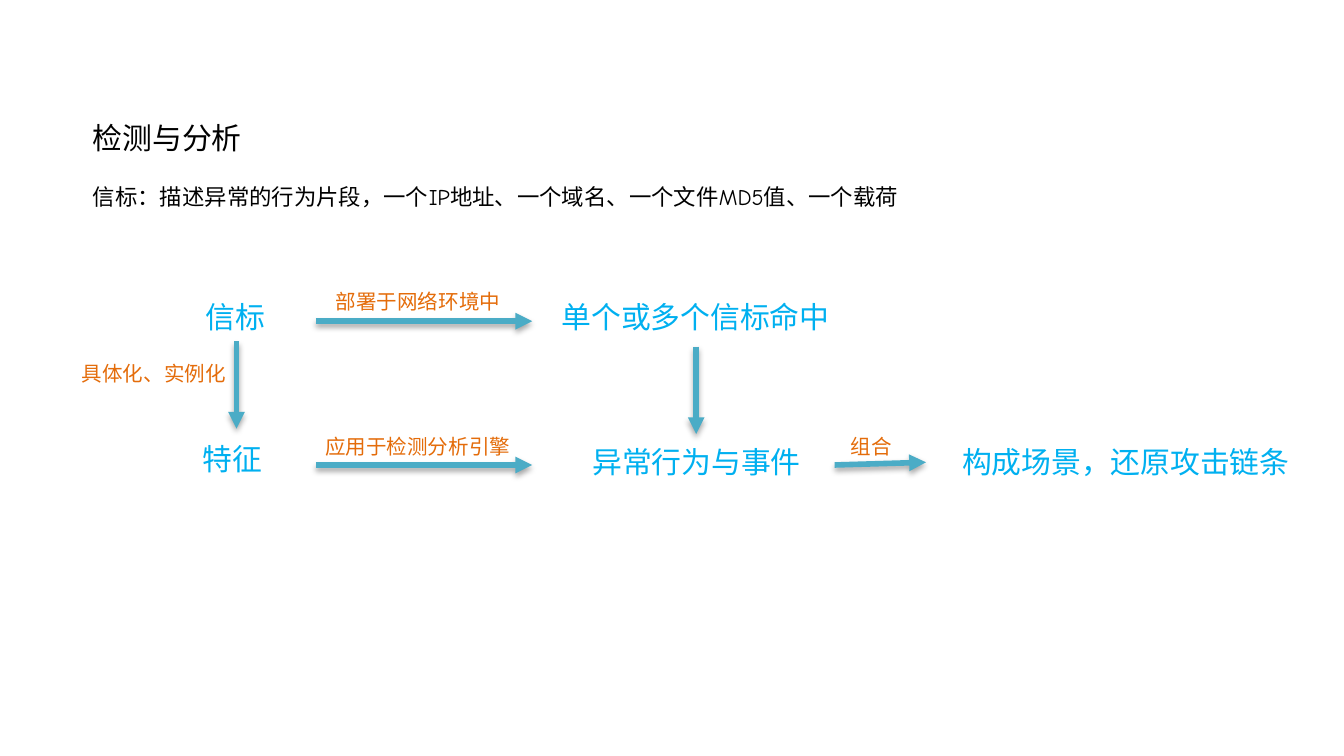
from lxml import etree
from pptx import Presentation
from pptx.dml.color import RGBColor
from pptx.enum.shapes import MSO_CONNECTOR as CONN
from pptx.enum.text import MSO_ANCHOR as ANCHOR, PP_ALIGN as ALIGN
from pptx.oxml.ns import qn
from pptx.util import Inches, Pt

COLORS = {"text": "000000", "node": "00B0F0", "label": "E46C0A", "arrow": "4BACC6"}
CJK = "Noto Sans CJK SC"
HEADING = "Comic Neue"


def add_run(p, text, size, color, font=CJK):
    """Add a formatted run with Latin and East Asian fonts."""
    r = p.add_run()
    r.text = text
    r.font.size = Pt(size)
    r.font.bold = False
    r.font.color.rgb = RGBColor.from_string(COLORS[color])
    r.font.name = font
    etree.SubElement(r.font._element, qn("a:ea"), typeface=CJK)


def fill_placeholder(sp, box, text, size):
    """Move a placeholder to its box and set one plain left-aligned line."""
    sp.left, sp.top, sp.width, sp.height = map(Inches, box)
    tf = sp.text_frame
    tf.word_wrap = True
    tf.vertical_anchor = ANCHOR.MIDDLE
    p = tf.paragraphs[0]
    p.alignment = ALIGN.LEFT
    p.space_before = Pt(0)
    pPr = p._p.get_or_add_pPr()
    pPr.set("marL", "0")
    pPr.set("indent", "0")
    etree.SubElement(pPr, qn("a:buNone"))
    add_run(p, text, size, "text", HEADING)


def add_heading(slide, left, top, width):
    """Place the title with the definition line under it."""
    title, body = slide.placeholders
    fill_placeholder(title, (left, top, width, 0.37), "检测与分析", 16)
    fill_placeholder(body, (left, top + 0.47, width, 0.3),
                     "信标：描述异常的行为片段，一个IP地址、一个域名、一个文件MD5值、一个载荷", 12)


def add_text(slide, box, text, size, color):
    """Add a single-line text box."""
    sp = slide.shapes.add_textbox(*map(Inches, box))
    sp.text_frame.word_wrap = False
    add_run(sp.text_frame.paragraphs[0], text, size, color)


def add_arrow(slide, x1, y1, x2, y2):
    """Add a thick arrow with a soft shadow below it."""
    cx = slide.shapes.add_connector(CONN.STRAIGHT, *map(Inches, (x1, y1, x2, y2)))
    cx.line.color.rgb = RGBColor.from_string(COLORS["arrow"])
    cx.line.width = Pt(3)
    etree.SubElement(cx.line._get_or_add_ln(), qn("a:tailEnd"), type="triangle")
    effects = etree.SubElement(cx._element.spPr, qn("a:effectLst"))
    shadow = etree.SubElement(effects, qn("a:outerShdw"), blurRad=str(Pt(3.1)),
                              dist=str(Pt(1.8)), dir="5400000", rotWithShape="0")
    black = etree.SubElement(shadow, qn("a:srgbClr"), val="000000")
    etree.SubElement(black, qn("a:alpha"), val="35000")


def add_flow(slide, left, top):
    """Place the detection flow: nodes, arrows and arrow labels."""
    arrows = [
        (1.25, 0.44, 1.25, 1.09),
        (4.67, 0.48, 4.67, 1.13),
        (1.84, 0.29, 3.45, 0.29),
        (1.84, 1.36, 3.45, 1.36),
        (5.7, 1.36, 6.38, 1.34),
    ]
    nodes = [
        ("信标", 0.92, 0.07, 0.65),
        ("单个或多个信标命中", 3.57, 0.07, 2.22),
        ("特征", 0.9, 1.13, 0.65),
        ("异常行为与事件", 3.8, 1.15, 1.77),
        ("构成场景，还原攻击链条", 6.55, 1.15, 2.67),
    ]
    labels = [
        ("具体化、实例化", 0, 0.54, 1.28),
        ("部署于网络环境中", 1.89, 0, 1.44),
        ("应用于检测分析引擎", 1.81, 1.08, 1.59),
        ("组合", 5.72, 1.08, 0.51),
    ]
    for x1, y1, x2, y2 in arrows:
        add_arrow(slide, left + x1, top + y1, left + x2, top + y2)
    for items, height, size, color in ((nodes, 0.37, 16, "node"),
                                       (labels, 0.29, 11, "label")):
        for text, x, y, width in items:
            add_text(slide, (left + x, top + y, width, height), text, size, color)


def main():
    """Build and save the slide."""
    prs = Presentation()
    prs.slide_width = Inches(10)
    prs.slide_height = prs.slide_width * 9 // 16
    slide = prs.slides.add_slide(prs.slide_layouts[1])
    add_heading(slide, 0.59, 0.84, 8.82)
    add_flow(slide, 0.51, 2.1)
    prs.save("out.pptx")


if __name__ == "__main__":
    main()
